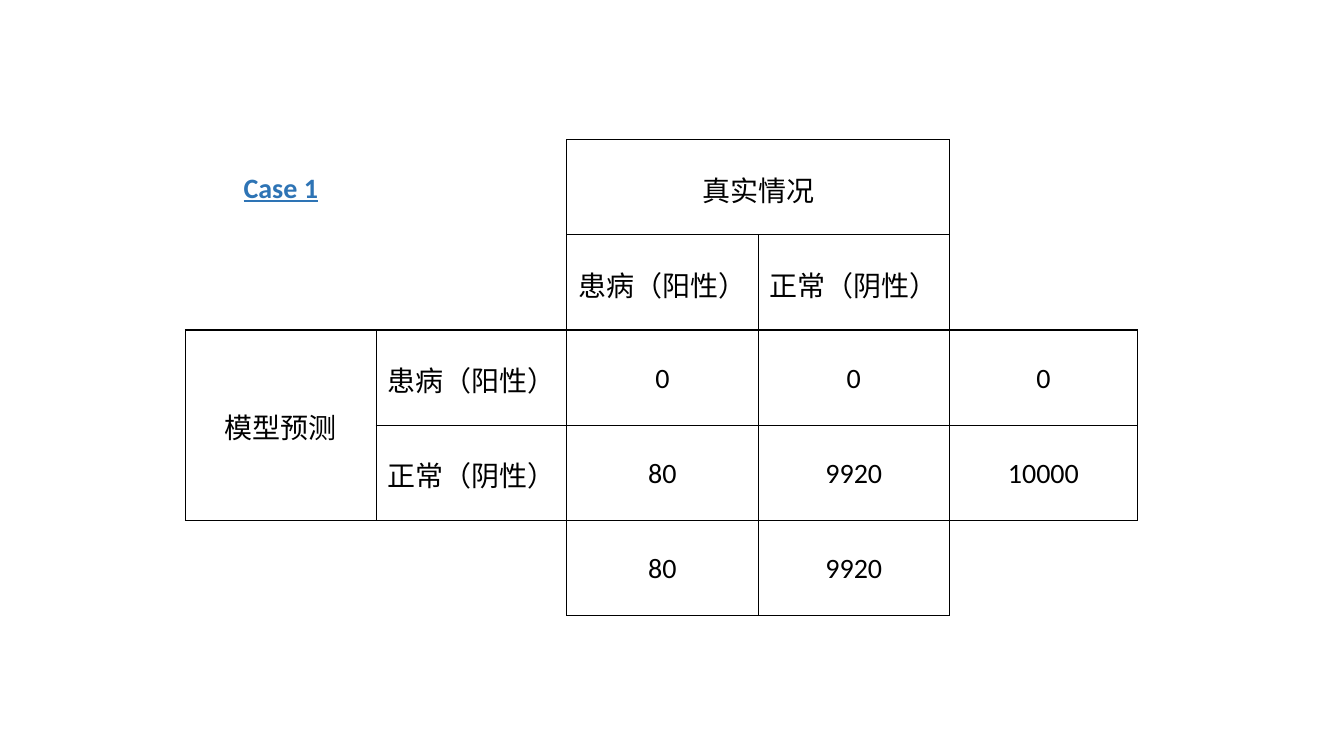
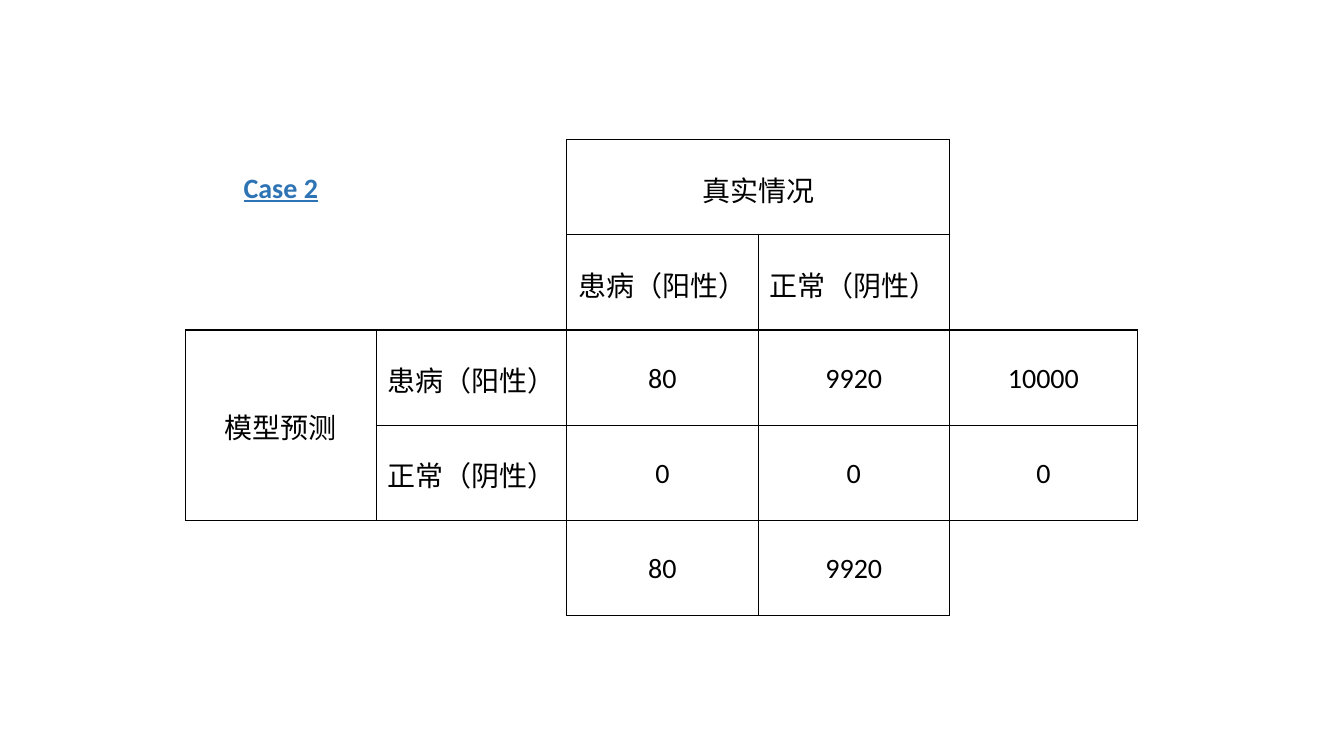
"""Build two confusion-matrix slides for a disease screening model."""
from dataclasses import dataclass

from lxml.etree import SubElement
from pptx import Presentation
from pptx.dml.color import RGBColor
from pptx.enum.text import MSO_ANCHOR, PP_ALIGN
from pptx.oxml.ns import qn
from pptx.util import Pt


@dataclass(frozen=True)
class Theme:
    """Colours, type and line widths shared by the slides."""
    ink: str = "000000"
    accent: str = "2E74B5"
    font: str = "Calibri"
    size: float = 20
    line: float = 1
    spacing: float = 1.07
    inset: float = 5.4


THEME = Theme()
LEFT, TOP = 132.5, 99.8
COLUMN_WIDTHS = (136.2, 136.2, 136.7, 136.7, 134.3)
ROW_HEIGHT, ROW_COUNT = 68, 5
CROSS = (2, 3)
EDGES = {"lnL": (0, -1), "lnR": (0, 1), "lnT": (-1, 0), "lnB": (1, 0)}
MERGES = (((0, 2), (0, 3)), ((2, 0), (3, 0)))
POSITIVE, NEGATIVE = "患病（阳性）", "正常（阴性）"
BODY = {"name": THEME.font, "size": Pt(THEME.size), "bold": False, "underline": False}
CASE_TITLE = {**BODY, "bold": True, "underline": True}
CELL = {
    "vertical_anchor": MSO_ANCHOR.MIDDLE,
    "margin_left": Pt(THEME.inset),
    "margin_right": Pt(THEME.inset),
    "margin_top": 0,
    "margin_bottom": 0,
}
PARAGRAPH = {"alignment": PP_ALIGN.CENTER, "line_spacing": THEME.spacing}
CASES = {
    "Case 1": ((0, 0), (80, 9920)),
    "Case 2": ((80, 9920), (0, 0)),
}


def apply_format(target, values):
    """Set every attribute in values on target."""
    for name, value in values.items():
        setattr(target, name, value)


def in_cross(row, column):
    """Tell whether a cell lies in the ruled cross of the matrix."""
    in_grid = 0 <= row < ROW_COUNT and 0 <= column < len(COLUMN_WIDTHS)
    return in_grid and (row in CROSS or column in CROSS)


def rule_cell(cell, row, column):
    """Draw the edges that touch the cross and hide the others."""
    properties = cell._tc.get_or_add_tcPr()
    for tag, (down, across) in EDGES.items():
        edge = SubElement(properties, qn(f"a:{tag}"), w=str(Pt(THEME.line)))
        if in_cross(row, column) or in_cross(row + down, column + across):
            fill = SubElement(edge, qn("a:solidFill"))
            SubElement(fill, qn("a:srgbClr"), val=THEME.ink)
        else:
            SubElement(edge, qn("a:noFill"))
    cell.fill.background()


def write_cell(cell, text, font_format=BODY, color=THEME.ink):
    """Write centred text into a cell."""
    apply_format(cell, CELL)
    paragraph = cell.text_frame.paragraphs[0]
    apply_format(paragraph, PARAGRAPH)
    run = paragraph.add_run()
    run.text = str(text)
    apply_format(run.font, font_format)
    run.font.color.rgb = RGBColor.from_string(color)


def matrix_texts(counts):
    """Map cell positions to labels, counts and totals."""
    texts = {(0, 2): "真实情况", (2, 0): "模型预测"}
    for index, label in zip(CROSS, (POSITIVE, NEGATIVE)):
        texts[1, index] = texts[index, 1] = label
    for row, values in zip(CROSS, counts):
        texts.update({(row, column): value for column, value in zip(CROSS, values)})
        texts[row, 4] = sum(values)
    for column, values in zip(CROSS, zip(*counts)):
        texts[4, column] = sum(values)
    return texts


def add_matrix(slide, case, counts):
    """Add the confusion matrix of one case."""
    matrix = slide.shapes.add_table(
        ROW_COUNT, len(COLUMN_WIDTHS), Pt(LEFT), Pt(TOP),
        Pt(sum(COLUMN_WIDTHS)), Pt(ROW_HEIGHT * ROW_COUNT),
    ).table
    apply_format(matrix, {"first_row": False, "horz_banding": False})
    for column, width in zip(matrix.columns, COLUMN_WIDTHS):
        column.width = Pt(width)
    for row_index, row in enumerate(matrix.rows):
        row.height = Pt(ROW_HEIGHT)
        for column_index, cell in enumerate(row.cells):
            rule_cell(cell, row_index, column_index)
    for first, last in MERGES:
        matrix.cell(*first).merge(matrix.cell(*last))
    write_cell(matrix.cell(0, 0), case, CASE_TITLE, THEME.accent)
    for position, text in matrix_texts(counts).items():
        write_cell(matrix.cell(*position), text)


def main():
    """Build and save the presentation."""
    presentation = Presentation()
    apply_format(presentation, {"slide_width": Pt(960), "slide_height": Pt(540)})
    for case, counts in CASES.items():
        slide = presentation.slides.add_slide(presentation.slide_layouts[6])
        add_matrix(slide, case, counts)
    presentation.save("out.pptx")


if __name__ == "__main__":
    main()
